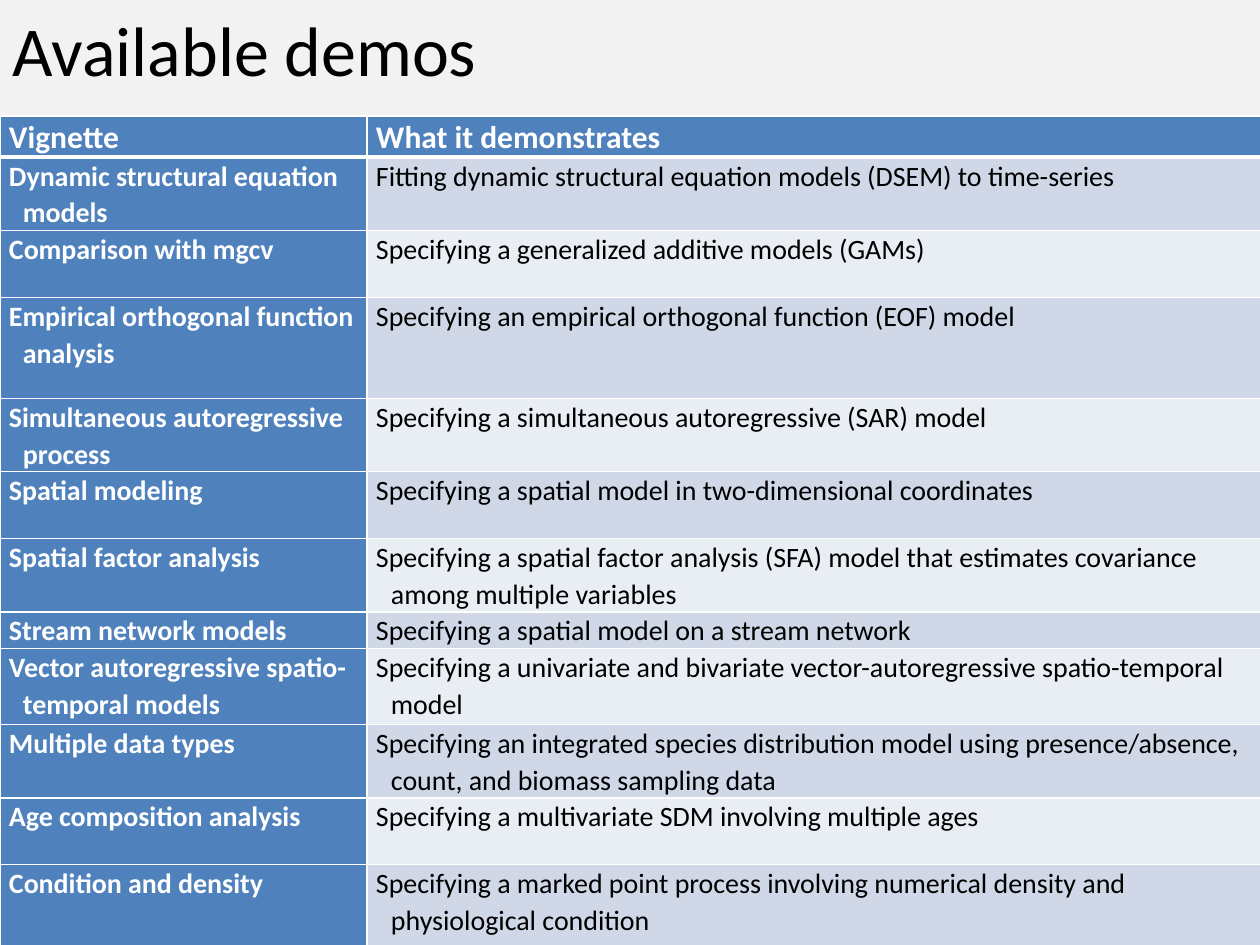
from lxml.etree import SubElement
from pptx import Presentation
from pptx.dml.color import RGBColor
from pptx.enum.text import MSO_ANCHOR, MSO_AUTO_SIZE, PP_ALIGN
from pptx.oxml import parse_xml
from pptx.oxml.ns import nsdecls, qn
from pptx.util import Pt

EMU_PER_PX = 914400 // 126
FONT = "Calibri"
BLUE, WHITE, BLACK = "4F81BD", "FFFFFF", "000000"
BANDS = ["D0D8E8", "E9EDF4"]
COLUMN_WIDTHS = [367, 904]
HANGING = [(14, -15), (15, -15)]
DEMOS = [
    (33, "Vignette", "What it demonstrates"),
    (67, "Dynamic structural equation models",
     "Fitting dynamic structural equation models (DSEM) to time-series"),
    (67, "Comparison with mgcv", "Specifying a generalized additive models (GAMs)"),
    (101, "Empirical orthogonal function analysis",
     "Specifying an empirical orthogonal function (EOF) model"),
    (67, "Simultaneous autoregressive process",
     "Specifying a simultaneous autoregressive (SAR) model"),
    (67, "Spatial modeling", "Specifying a spatial model in two-dimensional coordinates"),
    (67, "Spatial factor analysis",
     "Specifying a spatial factor analysis (SFA) model that estimates covariance "
     "among multiple variables"),
    (33, "Stream network models", "Specifying a spatial model on a stream network"),
    (76, "Vector autoregressive spatio-temporal models",
     "Specifying a univariate and bivariate vector-autoregressive spatio-temporal model"),
    (67, "Multiple data types",
     "Specifying an integrated species distribution model using presence/absence, "
     "count, and biomass sampling data"),
    (67, "Age composition analysis",
     "Specifying a multivariate SDM involving multiple ages"),
    (101, "Condition and density",
     "Specifying a marked point process involving numerical density and "
     "physiological condition"),
]


def px(n):
    return n * EMU_PER_PX


def rgb(value):
    return RGBColor.from_string(value)


def style_run(r, size, color, bold=False):
    r.font.name = FONT
    r.font.size = Pt(size)
    r.font.bold = bold
    r.font.color.rgb = rgb(color)


def add_title(s, text):
    title = s.shapes.title
    title.left, title.top, title.width, title.height = px(0), px(0), px(1260), px(199)
    tf = title.text_frame
    tf.text = text
    tf.auto_size = MSO_AUTO_SIZE.NONE
    tf.vertical_anchor = MSO_ANCHOR.TOP
    p = tf.paragraphs[0]
    p.alignment = PP_ALIGN.LEFT
    style_run(p.runs[0], 40, BLACK)


def set_borders(cell, top, bottom):
    tcPr = cell._tc.get_or_add_tcPr()
    widths = {"lnL": 1, "lnR": 1, "lnT": top, "lnB": bottom}
    for position, (tag, width) in enumerate(widths.items()):
        line = parse_xml(f'<a:{tag} {nsdecls("a")} w="{Pt(width)}"/>')
        fill = SubElement(line, qn("a:solidFill"))
        SubElement(fill, qn("a:srgbClr"), val=WHITE)
        tcPr.insert(position, line)


def fill_cell(cell, text, row, column):
    header = row == 0
    emphasized = header or column == 0
    cell.margin_left = cell.margin_right = px(9)
    cell.margin_top = cell.margin_bottom = 0
    cell.fill.solid()
    cell.fill.fore_color.rgb = rgb(BLUE if emphasized else BANDS[(row - 1) % 2])
    set_borders(cell, 3 if row == 1 else 1, 3 if header else 1)
    cell.text_frame.text = text
    p = cell.text_frame.paragraphs[0]
    p.line_spacing = 1.07
    if not header:
        margin, indent = HANGING[column]
        pPr = p._p.get_or_add_pPr()
        pPr.set("marL", str(px(margin)))
        pPr.set("indent", str(px(indent)))
    style_run(p.runs[0], 18 if header else 16, WHITE if emphasized else BLACK, emphasized)


def add_demo_table(s):
    height = sum(demo[0] for demo in DEMOS)
    table = s.shapes.add_table(len(DEMOS), len(COLUMN_WIDTHS), px(0), px(116),
                               px(sum(COLUMN_WIDTHS)), px(height)).table
    table.first_col = True
    for column, width in zip(table.columns, COLUMN_WIDTHS):
        column.width = px(width)
    for i, (row_height, *texts) in enumerate(DEMOS):
        table.rows[i].height = px(row_height)
        for j, text in enumerate(texts):
            fill_cell(table.cell(i, j), text, i, j)


def main():
    prs = Presentation()
    prs.slide_width, prs.slide_height = px(1260), px(945)
    s = prs.slides.add_slide(prs.slide_layouts[5])
    s.background.fill.solid()
    s.background.fill.fore_color.rgb = rgb("F2F2F2")
    add_title(s, "Available demos")
    add_demo_table(s)
    prs.save("out.pptx")


if __name__ == "__main__":
    main()
